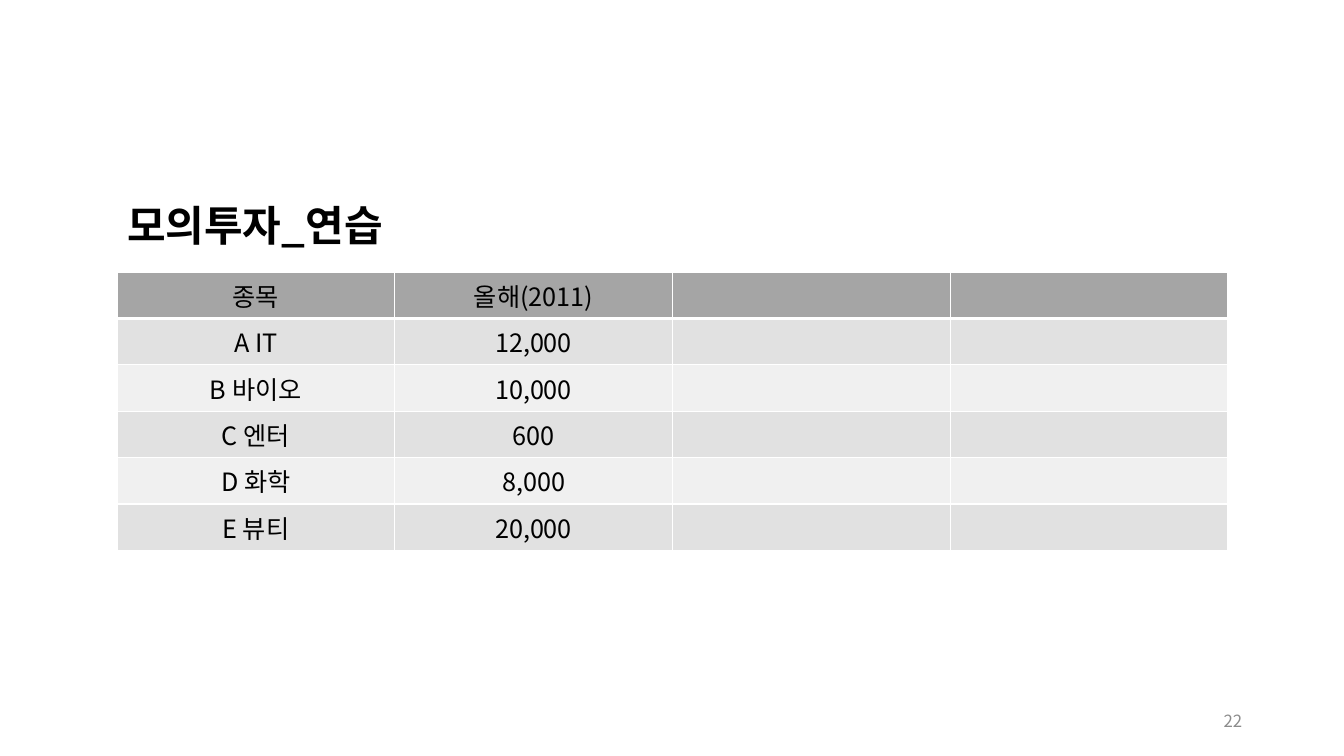
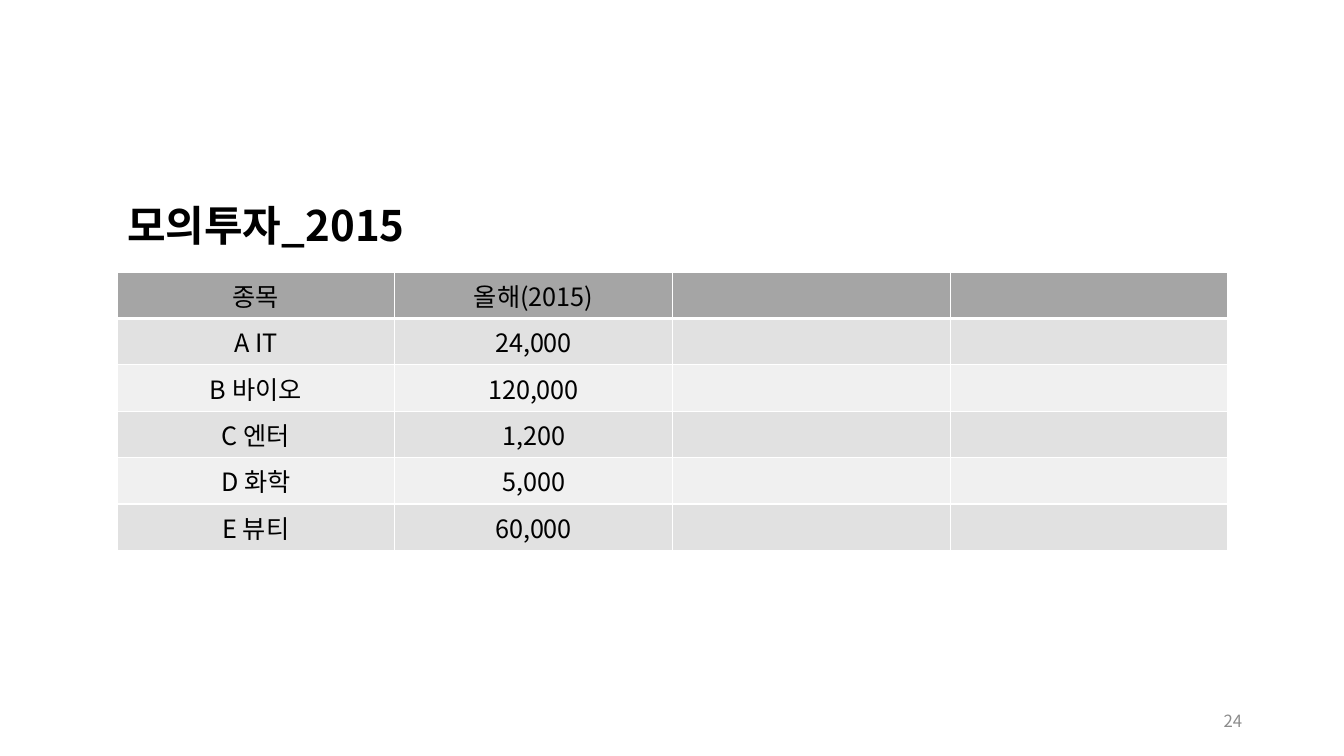
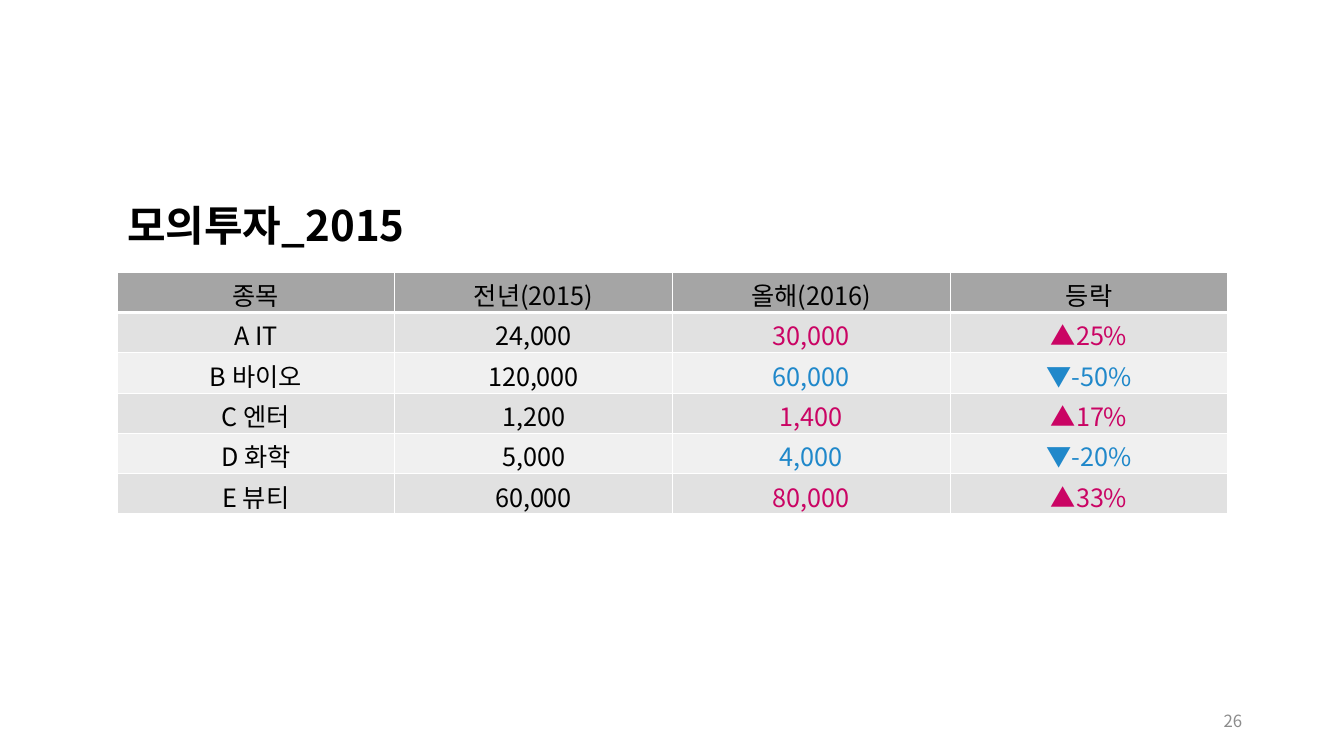
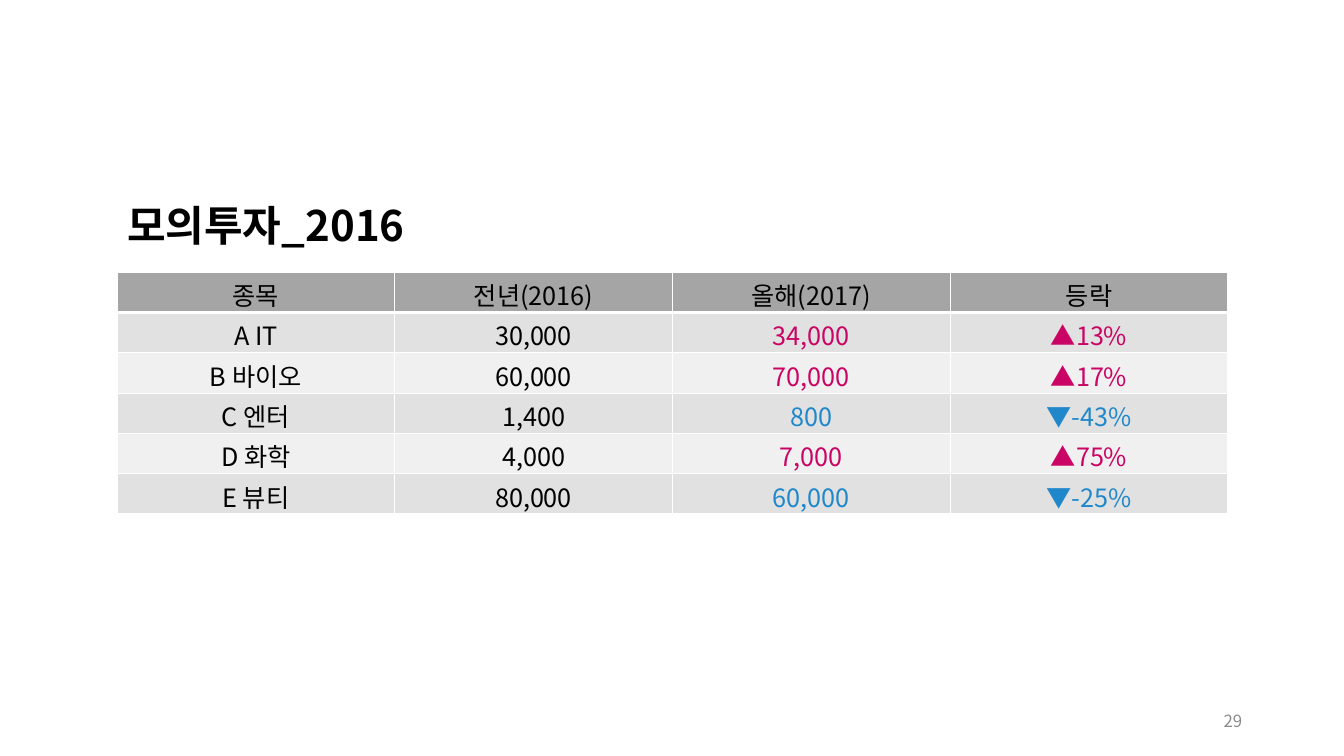
from pptx import Presentation
from pptx.dml.color import RGBColor
from pptx.enum.text import MSO_ANCHOR, MSO_AUTO_SIZE, PP_ALIGN
from pptx.oxml import parse_xml
from pptx.oxml.ns import nsdecls, qn
from pptx.util import Inches, Pt

FONT = "Noto Sans CJK KR"
BLACK = RGBColor(0x00, 0x00, 0x00)
WHITE = RGBColor(0xFF, 0xFF, 0xFF)
NUMBER_GRAY = RGBColor(0x8C, 0x8C, 0x8C)
HEADER_FILL = RGBColor(0xA5, 0xA5, 0xA5)
BAND_FILLS = (RGBColor(0xE1, 0xE1, 0xE1), RGBColor(0xF0, 0xF0, 0xF0))
RISE_COLOR = RGBColor(0xCA, 0x04, 0x64)
FALL_COLOR = RGBColor(0x20, 0x88, 0xCA)

LEFT, CENTER, RIGHT = PP_ALIGN.LEFT, PP_ALIGN.CENTER, PP_ALIGN.RIGHT
TOP, MIDDLE = MSO_ANCHOR.TOP, MSO_ANCHOR.MIDDLE
GROW = MSO_AUTO_SIZE.SHAPE_TO_FIT_TEXT
TITLE_ONLY = 5

TITLE_BOX = (1.16, 1.93, 5.47, 0.61)
NUMBER_BOX = (9.42, 6.95, 3, 0.4)
TABLE_LEFT, TABLE_TOP, TABLE_WIDTH = 1.16, 2.7, 11.02
COLUMN_COUNT = 4

STOCKS = ["A IT", "B 바이오", "C 엔터", "D 화학", "E 뷰티"]
PRICES = {
    2011: [12000, 10000, 600, 8000, 20000],
    2015: [24000, 120000, 1200, 5000, 60000],
    2016: [30000, 60000, 1400, 4000, 80000],
    2017: [34000, 70000, 800, 7000, 60000],
}
# title, page number, years shown
SLIDES = [
    ("모의투자_연습", 22, [2011]),
    ("모의투자_2015", 24, [2015]),
    ("모의투자_2015", 26, [2015, 2016]),
    ("모의투자_2016", 29, [2016, 2017]),
]


def write_text(frame, text, size=18, color=BLACK, bold=False, align=CENTER):
    paragraph = frame.paragraphs[0]
    paragraph.alignment = align
    run = paragraph.add_run()
    run.text = text
    font = run.font
    font.name, font.size, font.bold = FONT, Pt(size), bold
    font.color.rgb = color
    properties = run._r.get_or_add_rPr()
    properties.append(parse_xml(f'<a:ea {nsdecls("a")} typeface="{FONT}"/>'))


def place(shape, box):
    shape.left, shape.top, shape.width, shape.height = map(Inches, box)


def set_borders(cell, top, bottom):
    """Draw white cell edges; top and bottom are widths in points."""
    properties = cell._tc.get_or_add_tcPr()
    edges = (("L", 1), ("R", 1), ("T", top), ("B", bottom))
    for index, (edge, width) in enumerate(edges):
        properties.insert(index, parse_xml(
            f'<a:ln{edge} {nsdecls("a")} w="{Pt(width)}"><a:solidFill>'
            f'<a:srgbClr val="{WHITE}"/></a:solidFill></a:ln{edge}>'))


def table_rows(years):
    """Return rows of (text, colour) pairs, the header first."""
    labels = ["올해"] if len(years) == 1 else ["전년", "올해"]
    header = ["종목"] + [f"{label}({year})" for label, year in zip(labels, years)]
    if len(years) == 2:
        header.append("등락")
    rows = [[(text, BLACK) for text in header]]
    for stock, *prices in zip(STOCKS, *(PRICES[year] for year in years)):
        row = [(stock, BLACK), (f"{prices[0]:,}", BLACK)]
        if len(prices) == 2:
            change = prices[1] / prices[0] - 1
            arrow, color = ("▲", RISE_COLOR) if change > 0 else ("▼", FALL_COLOR)
            row += [(f"{prices[1]:,}", color), (f"{arrow}{change:.0%}", color)]
        rows.append(row)
    return rows


def add_price_table(slide, years):
    rows = table_rows(years)
    compact = len(years) == 2
    row_height = 0.4 if compact else 0.46
    frame = slide.shapes.add_table(
        len(rows), COLUMN_COUNT, Inches(TABLE_LEFT), Inches(TABLE_TOP),
        Inches(TABLE_WIDTH), Inches(row_height * len(rows)))
    table = frame.table
    for row_index, row in enumerate(rows):
        is_header = row_index == 0
        fill = HEADER_FILL if is_header else BAND_FILLS[(row_index - 1) % 2]
        for column_index in range(COLUMN_COUNT):
            cell = table.cell(row_index, column_index)
            cell.fill.solid()
            cell.fill.fore_color.rgb = fill
            cell.vertical_anchor = TOP
            if compact:
                cell.margin_top, cell.margin_bottom = Inches(0.04), Inches(0)
            set_borders(cell, top=3 if row_index == 1 else 1,
                        bottom=3 if is_header else 1)
            if column_index < len(row):
                text, color = row[column_index]
                write_text(cell.text_frame, text, color=color)


def add_slide(presentation, title, number, years):
    slide = presentation.slides.add_slide(presentation.slide_layouts[TITLE_ONLY])

    place(slide.shapes.title, TITLE_BOX)
    frame = slide.shapes.title.text_frame
    frame.word_wrap, frame.auto_size, frame.vertical_anchor = True, GROW, TOP
    write_text(frame, title, size=30, bold=True, align=LEFT)

    add_price_table(slide, years)

    number_box = slide.shapes.add_textbox(*map(Inches, NUMBER_BOX))
    frame = number_box.text_frame
    frame.word_wrap, frame.vertical_anchor = True, MIDDLE
    write_text(frame, str(number), size=12, color=NUMBER_GRAY, align=RIGHT)


def main():
    presentation = Presentation()
    presentation.slide_width = Inches(13.33)
    presentation.slide_height = Inches(7.5)
    for title, number, years in SLIDES:
        add_slide(presentation, title, number, years)
    presentation.save("out.pptx")


if __name__ == "__main__":
    main()
